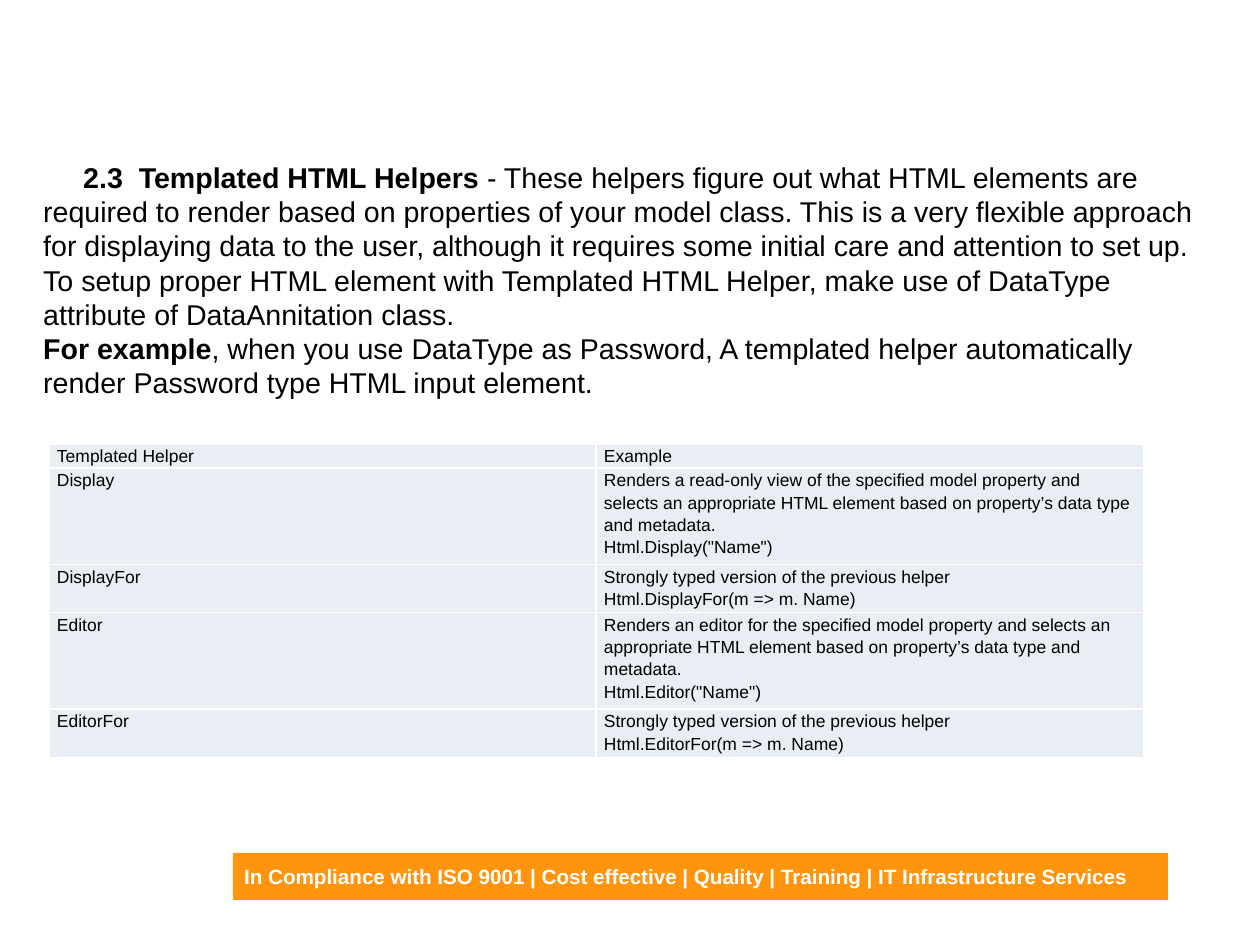
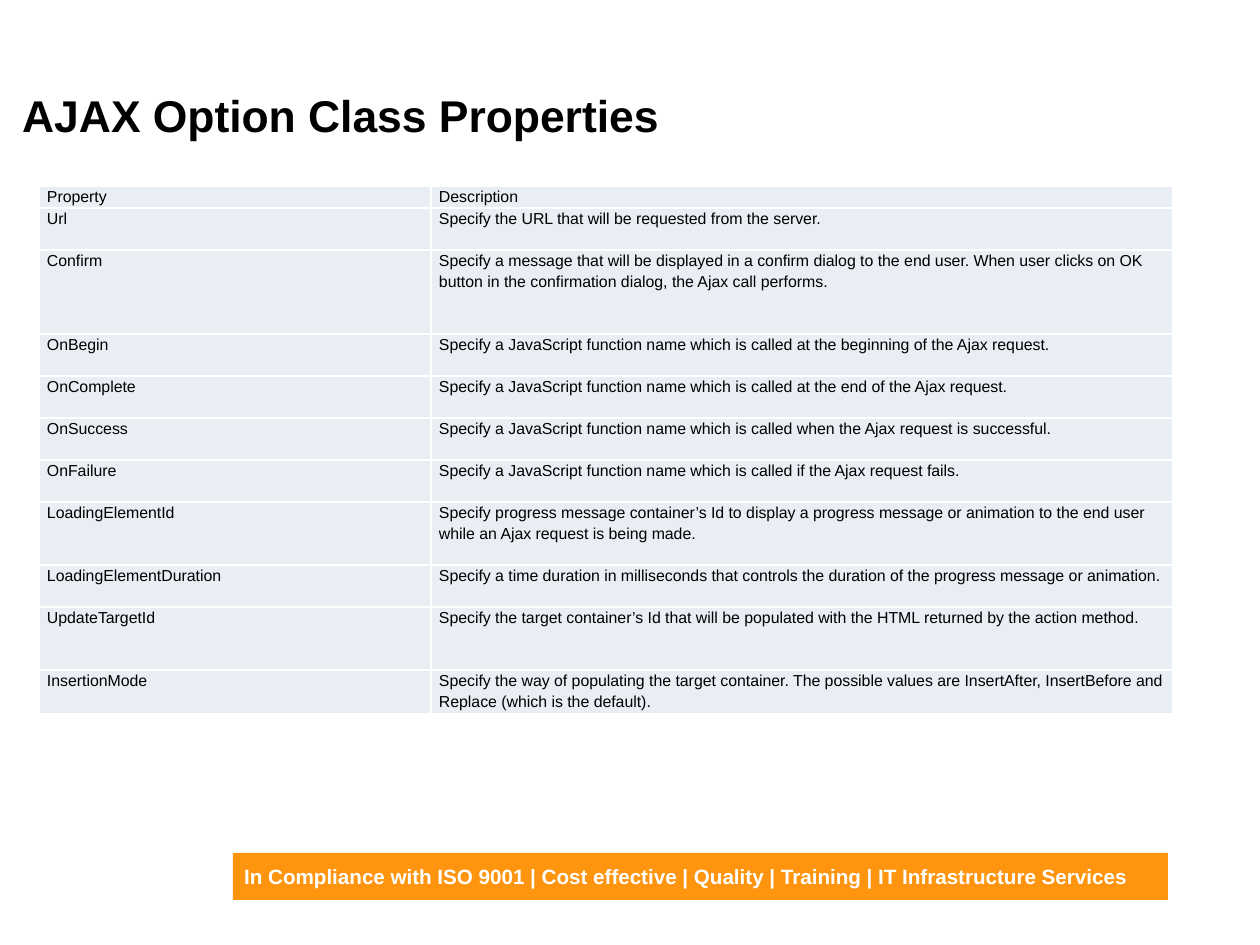
import dataclasses

import lxml.etree
import pptx
import pptx.dml.color
import pptx.enum.shapes
import pptx.enum.text
import pptx.oxml.ns
import pptx.util

PX = 8000  # EMU; the slide is 280 by 210 mm


@dataclasses.dataclass(frozen=True)
class Theme:
    font: str = "Arial"
    ink: str = "000000"
    white: str = "FFFFFF"
    band: str = "FF950E"
    cell: str = "E9EDF4"
    title_size: int = 28
    body_size: int = 18
    footer_size: int = 13
    border: int = 1


THEME = Theme()
SLIDE_SIZE = (1260, 945)
FOOTER_BOX = (233, 853, 935, 47)
FOOTER = ("In Compliance with ISO 9001 | Cost effective | Quality | "
          "Training | IT Infrastructure Services")

INTRO_BOX = (32, 154, 1181, 255)
INTRO_INDENT = 40
INTRO = [
    [("2.3  Templated HTML Helpers ", True),
     ("- These helpers figure out what HTML elements are required to render based on "
      "properties of your model class. This is a very flexible approach for displaying "
      "data to the user, although it requires some initial care and attention to set up. "
      "To setup proper HTML element with Templated HTML Helper, make use of DataType "
      "attribute of DataAnnitation class.", False)],
    [("For example", True),
     (", when you use DataType as Password, A templated helper automatically render "
      "Password type HTML input element.", False)],
]
# Table rows: height, first cell, then the paragraphs of the second cell
HELPERS = {
    "origin": (49, 444), "columns": (547, 548), "size": 11,
    "rows": [
        (23, "Templated Helper", "Example"),
        (96, "Display",
         "Renders a read-only view of the specified model property and selects an "
         "appropriate HTML element based on property’s data type and metadata.",
         'Html.Display("Name")'),
        (48, "DisplayFor", "Strongly typed version of the previous helper",
         "Html.DisplayFor(m => m. Name)"),
        (96, "Editor",
         "Renders an editor for the specified model property and selects an "
         "appropriate HTML element based on property’s data type and metadata.",
         'Html.Editor("Name")'),
        (48, "EditorFor", "Strongly typed version of the previous helper",
         "Html.EditorFor(m => m. Name)"),
    ],
}

TITLE = "AJAX Option Class Properties"
TITLE_BOX = (11, 82, 668, 65)
PROPERTIES = {
    "origin": (39, 186), "columns": (392, 742), "size": 10,
    "rows": [
        (22, "Property", "Description"),
        (42, "Url", "Specify the URL that will be requested from the server."),
        (84, "Confirm",
         "Specify a message that will be displayed in a confirm dialog to the end user. "
         "When user clicks on OK button in the confirmation dialog, the Ajax call performs."),
        (42, "OnBegin", "Specify a JavaScript function name which is called at the "
         "beginning of the Ajax request."),
        (42, "OnComplete", "Specify a JavaScript function name which is called at the "
         "end of the Ajax request."),
        (42, "OnSuccess", "Specify a JavaScript function name which is called when the "
         "Ajax request is successful."),
        (42, "OnFailure", "Specify a JavaScript function name which is called if the "
         "Ajax request fails."),
        (63, "LoadingElementId",
         "Specify progress message container’s Id to display a progress message or "
         "animation to the end user while an Ajax request is being made."),
        (42, "LoadingElementDuration",
         "Specify a time duration in milliseconds that controls the duration of the "
         "progress message or animation."),
        (63, "UpdateTargetId",
         "Specify the target container’s Id that will be populated with the HTML "
         "returned by the action method."),
        (44, "InsertionMode",
         "Specify the way of populating the target container. The possible values are "
         "InsertAfter, InsertBefore and Replace (which is the default)."),
    ],
}


def emu(*lengths):
    return [length * PX for length in lengths]


def rgb(value):
    return pptx.dml.color.RGBColor.from_string(value)


def write(tf, paragraphs, size, color=THEME.ink, spacing=None):
    """Fill a text frame with paragraphs, each a list of (text, bold) runs."""
    tf.word_wrap = True
    for i, runs in enumerate(paragraphs):
        p = tf.paragraphs[0] if i == 0 else tf.add_paragraph()
        p.alignment = pptx.enum.text.PP_ALIGN.LEFT
        if spacing:
            p.line_spacing = spacing
        for text, bold in runs:
            r = p.add_run()
            r.text = text
            r.font.name = THEME.font
            r.font.size = pptx.util.Pt(size)
            r.font.bold = bold
            r.font.color.rgb = rgb(color)


def add_text(s, box, paragraphs, size):
    tf = s.shapes.add_textbox(*emu(*box)).text_frame
    write(tf, paragraphs, size)
    return tf


def indent_first_line(p, indent):
    p._p.get_or_add_pPr().set("indent", str(indent * PX))


def style_cell(cell):
    cell.margin_left = cell.margin_right = 8 * PX
    cell.margin_top = cell.margin_bottom = 0
    tcPr = cell._tc.get_or_add_tcPr()
    for side in ("lnL", "lnR", "lnT", "lnB"):
        line = lxml.etree.SubElement(tcPr, pptx.oxml.ns.qn("a:" + side),
                                     w=str(pptx.util.Pt(THEME.border)))
        fill = lxml.etree.SubElement(line, pptx.oxml.ns.qn("a:solidFill"))
        lxml.etree.SubElement(fill, pptx.oxml.ns.qn("a:srgbClr"), val=THEME.white)
    cell.fill.solid()
    cell.fill.fore_color.rgb = rgb(THEME.cell)


def add_table(s, origin, columns, size, rows):
    height = sum(row[0] for row in rows)
    table = s.shapes.add_table(len(rows), len(columns),
                               *emu(*origin, sum(columns), height)).table
    for column, width in zip(table.columns, columns):
        column.width = width * PX
    for row, (row_height, name, *description) in zip(table.rows, rows):
        row.height = row_height * PX
        for cell, lines in zip(row.cells, ([name], description)):
            style_cell(cell)
            write(cell.text_frame, [[(line, False)] for line in lines], size, spacing=1.15)


def new_slide(prs):
    """Add a blank slide with the footer band."""
    s = prs.slides.add_slide(prs.slide_layouts[6])
    sp = s.shapes.add_shape(pptx.enum.shapes.MSO_SHAPE.RECTANGLE, *emu(*FOOTER_BOX))
    sp.shadow.inherit = False
    sp.fill.solid()
    sp.fill.fore_color.rgb = rgb(THEME.band)
    sp.line.fill.background()
    sp.text_frame.vertical_anchor = pptx.enum.text.MSO_ANCHOR.MIDDLE
    write(sp.text_frame, [[(FOOTER, True)]], THEME.footer_size, THEME.white)
    return s


def main():
    prs = pptx.Presentation()
    prs.slide_width, prs.slide_height = emu(*SLIDE_SIZE)

    s = new_slide(prs)
    tf = add_text(s, INTRO_BOX, INTRO, THEME.body_size)
    indent_first_line(tf.paragraphs[0], INTRO_INDENT)
    add_table(s, **HELPERS)

    s = new_slide(prs)
    add_table(s, **PROPERTIES)
    add_text(s, TITLE_BOX, [[(TITLE, True)]], THEME.title_size)

    prs.save("out.pptx")


if __name__ == "__main__":
    main()
